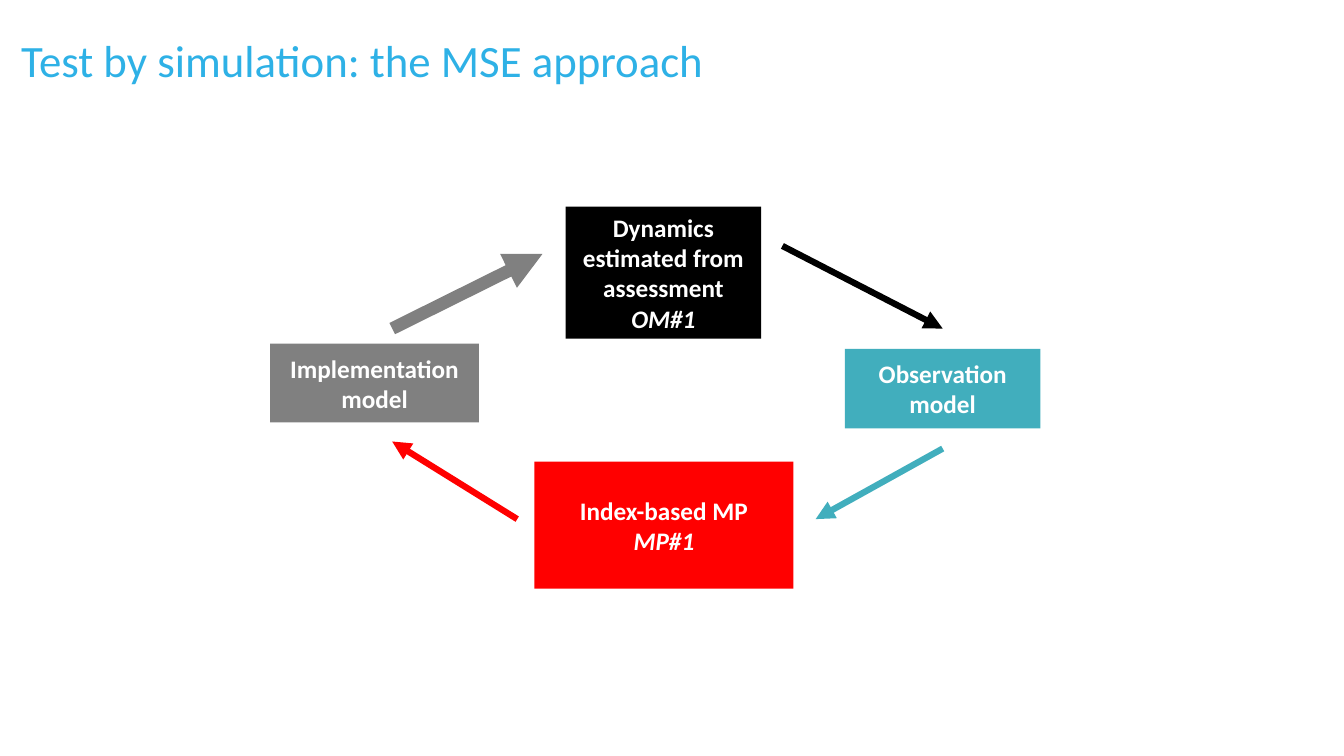
from dataclasses import dataclass

from lxml.etree import SubElement
from pptx import Presentation
from pptx.dml.color import RGBColor as RGB
from pptx.enum.shapes import MSO_CONNECTOR as CONNECTOR, MSO_SHAPE as SHAPE
from pptx.enum.text import MSO_ANCHOR as ANCHOR, MSO_AUTO_SIZE as AUTO_SIZE, PP_ALIGN as ALIGN
from pptx.oxml.ns import qn
from pptx.util import Inches, Pt


@dataclass(frozen=True)
class Theme:
    font: str = "Calibri"
    title_size: int = 32
    box_size: int = 18
    title: str = "2EB1E6"
    box_text: str = "FFFFFF"
    dynamics: str = "000000"
    observation: str = "41AEBD"
    procedure: str = "FF0000"
    implementation: str = "808080"


class SlideBuilder:
    def __init__(self, prs, theme):
        self.theme = theme
        self.slide = prs.slides.add_slide(prs.slide_layouts[5])

    def style(self, r, size, color, bold=False, italic=False):
        r.font.name = self.theme.font
        r.font.size = Pt(size)
        r.font.color.rgb = RGB.from_string(color)
        r.font.bold = bold
        r.font.italic = italic

    def title(self, text, left, top, width, height):
        s = self.slide.shapes.title
        s.left, s.top, s.width, s.height = map(Inches, (left, top, width, height))
        tf = s.text_frame
        tf.text = text
        tf.word_wrap = True
        tf.auto_size = AUTO_SIZE.NONE
        tf.vertical_anchor = ANCHOR.MIDDLE
        p = tf.paragraphs[0]
        p.alignment = ALIGN.LEFT
        p.line_spacing = 0.9
        self.style(p.runs[0], self.theme.title_size, self.theme.title)

    def box(self, paragraphs, color, left, top, width, height):
        """Draw a filled box; each paragraph is a list of (text, italic) runs."""
        s = self.slide.shapes.add_shape(
            SHAPE.RECTANGLE, *map(Inches, (left, top, width, height)))
        s.shadow.inherit = False
        s.fill.solid()
        s.fill.fore_color.rgb = RGB.from_string(color)
        s.line.fill.background()
        tf = s.text_frame
        tf.word_wrap = True
        tf.vertical_anchor = ANCHOR.MIDDLE
        for i, runs in enumerate(paragraphs):
            p = tf.add_paragraph() if i else tf.paragraphs[0]
            p.alignment = ALIGN.CENTER
            for text, italic in runs:
                r = p.add_run()
                r.text = text
                self.style(r, self.theme.box_size, self.theme.box_text, True, italic)

    def arrow(self, color, start, end, weight=4.5):
        s = self.slide.shapes.add_connector(
            CONNECTOR.STRAIGHT, *map(Inches, (*start, *end)))
        s.line.color.rgb = RGB.from_string(color)
        s.line.width = Pt(weight)
        SubElement(s.line._get_or_add_ln(), qn("a:tailEnd"), type="triangle")
        SubElement(s._element.spPr, qn("a:effectLst"))


def main():
    prs = Presentation()
    prs.slide_width, prs.slide_height = Inches(13.33), Inches(7.5)
    theme = Theme()
    page = SlideBuilder(prs, theme)

    page.title("Test by simulation: the MSE approach", 0.11, 0.1, 9.11, 1.05)

    page.box([[("Dynamics estimated from assessment ", False), ("OM#1", True)]],
             theme.dynamics, 5.61, 2.05, 1.94, 1.31)
    page.box([[("Observation model", False)]],
             theme.observation, 8.38, 3.46, 1.94, 0.79)
    page.box([[("Index-based MP", False)], [("MP#1", True)]],
             theme.procedure, 5.3, 4.58, 2.57, 1.26)
    page.box([[("Implementation model", False)]],
             theme.implementation, 2.68, 3.41, 2.07, 0.78)

    page.arrow(theme.dynamics, (7.76, 2.44), (9.35, 3.26))
    page.arrow(theme.observation, (9.35, 4.45), (8.09, 5.15))
    page.arrow(theme.procedure, (5.13, 5.15), (3.89, 4.38))
    page.arrow(theme.implementation, (3.89, 3.26), (5.38, 2.52), weight=9)

    prs.save("out.pptx")


if __name__ == "__main__":
    main()
